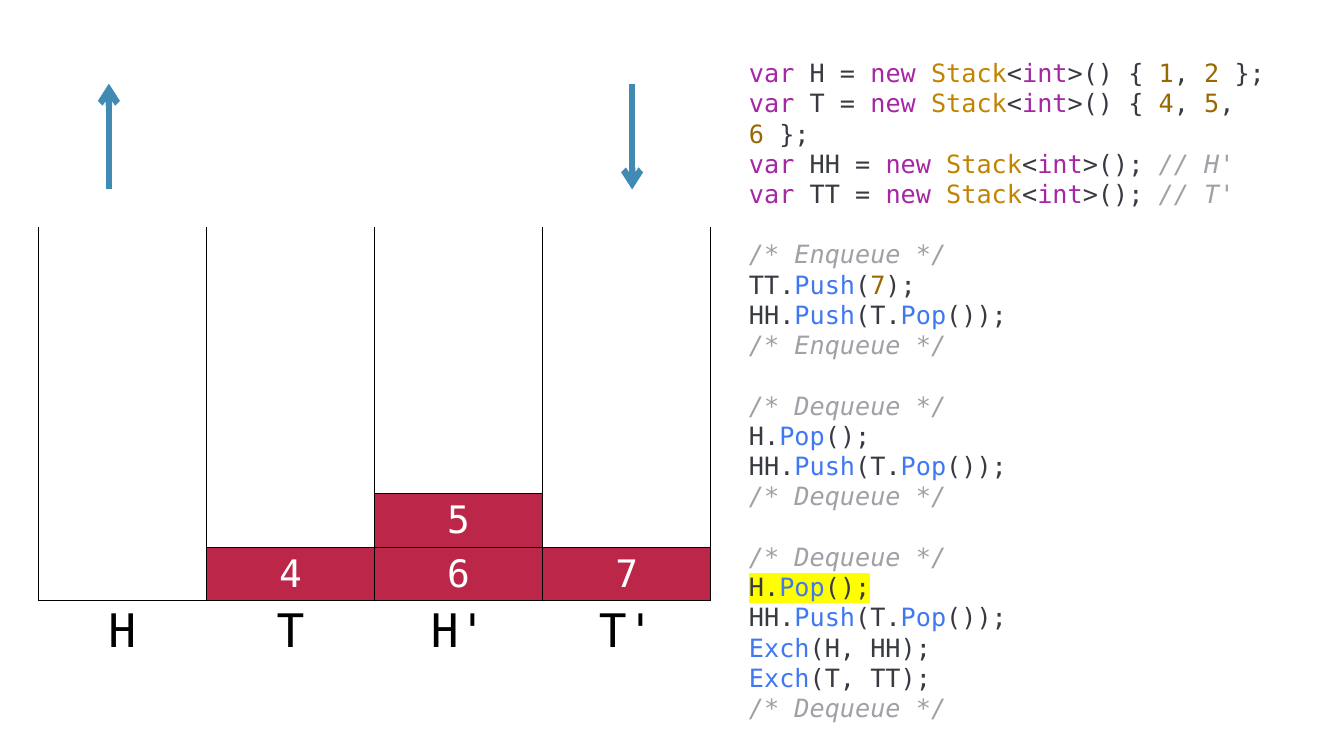
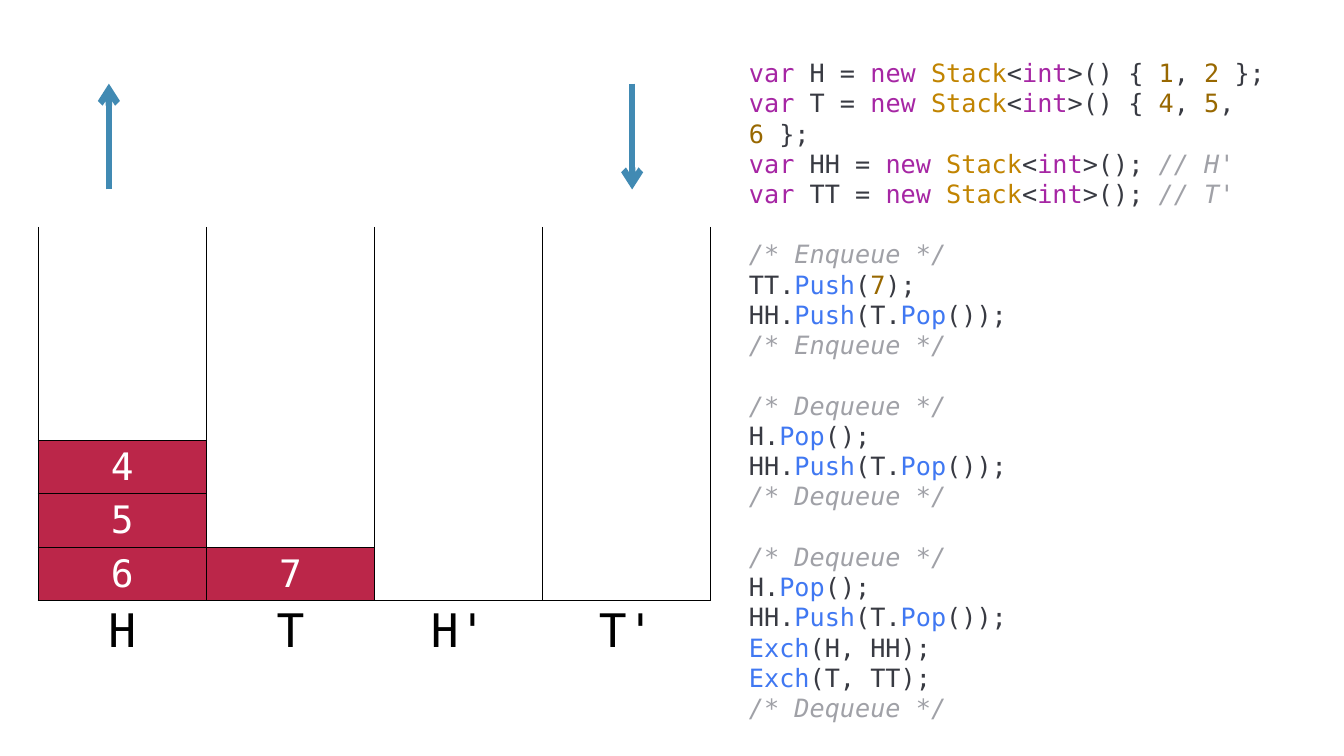
import pptx
import pptx.dml.color
import pptx.enum.shapes
import pptx.enum.text
import pptx.oxml
import pptx.oxml.ns
import pptx.util
from pptx.util import Inches

FONT = "DejaVu Sans Mono"
BLACK, WHITE, BLOCK, ARROW = "000000", "FFFFFF", "BB2649", "418AB3"
HIGHLIGHT = "FFFF00"
CODE_COLORS = {
    "keyword": "A626A4", "type": "C18401", "number": "986801",
    "function": "4078F2", "comment": "A0A1A7", "plain": "383A42",
}
WORD_KINDS = {
    "var": "keyword", "new": "keyword", "int": "keyword", "Stack": "type",
    "Push": "function", "Pop": "function", "Exch": "function",
}

# Each code line is split into its coloured runs by "|".
MOVE_ONE = "HH.|Push|(T.|Pop|());"
REMOVE_HEAD = "H.|Pop|();"
CODE_BLOCKS = [
    ["var| H = |new |Stack|<|int|>() { |1|, |2| };",
     "var| T = |new |Stack|<|int|>() { |4|, |5|, |6| };",
     "var| HH = |new |Stack|<|int|>(); |// H'",
     "var| TT = |new |Stack|<|int|>(); |// T'"],
    ["/* Enqueue */", "TT.|Push|(|7|);", MOVE_ONE, "/* Enqueue */"],
    ["/* Dequeue */", REMOVE_HEAD, MOVE_ONE, "/* Dequeue */"],
    ["/* Dequeue */", REMOVE_HEAD, MOVE_ONE,
     "Exch|(H, HH);", "Exch|(T, TT);", "/* Dequeue */"],
]
STACK_NAMES = ["H", "T", "H'", "T'"]
# Stack contents run from bottom to top; current_line is (block, line).
STEPS = [
    {"stacks": [[], ["4"], ["6", "5"], ["7"]], "current_line": (3, 1)},
    {"stacks": [["6", "5", "4"], ["7"], [], []], "current_line": None},
]

STACK_ROWS = 7
TABLE_LEFT, TABLE_TOP, TABLE_WIDTH = Inches(0.38), Inches(2.25), Inches(6.67)
ROW_HEIGHT, LABEL_HEIGHT = Inches(0.53), Inches(0.62)
ARROW_TOP, ARROW_BOTTOM = Inches(0.83), Inches(1.88)
ARROWS = [  # x, start, end
    (Inches(6.27), ARROW_TOP, ARROW_BOTTOM),
    (Inches(1.08), ARROW_BOTTOM, ARROW_TOP),
]
CODE_LINE = pptx.util.Pt(21.6)
NO_TABLE_STYLE = "{2D5ABB26-0587-4C30-8999-92F81FD0307C}"


def rgb(color):
    return pptx.dml.color.RGBColor.from_string(color)


def xml(tag, content=""):
    return pptx.oxml.parse_xml(
        f"<a:{tag} {pptx.oxml.ns.nsdecls('a')}>{content}</a:{tag.split()[0]}>")


def add_run(paragraph, text, size, color):
    run = paragraph.add_run()
    run.text = text
    run.font.name = FONT
    run.font.size = pptx.util.Pt(size)
    run.font.color.rgb = rgb(color)
    return run


def set_borders(cell, sides):
    """Draw the given sides (letters from LRTB) and leave the others open."""
    properties = cell._tc.get_or_add_tcPr()
    for position, side in enumerate("LRTB"):
        fill = "<a:noFill/>"
        if side in sides:
            fill = f'<a:solidFill><a:srgbClr val="{BLACK}"/></a:solidFill>'
        properties.insert(position, xml(f'ln{side} w="12700"', fill))


def fill_cell(cell, text, size, color, fill, sides):
    cell.margin_left = cell.margin_right = Inches(0.07)
    cell.margin_top = cell.margin_bottom = Inches(0.04)
    cell.vertical_anchor = pptx.enum.text.MSO_ANCHOR.MIDDLE
    if fill:
        cell.fill.solid()
        cell.fill.fore_color.rgb = rgb(fill)
    else:
        cell.fill.background()
    set_borders(cell, sides)
    if text:
        paragraph = cell.text_frame.paragraphs[0]
        paragraph.alignment = pptx.enum.text.PP_ALIGN.CENTER
        add_run(paragraph, text, size, color)


def add_stacks(slide, stacks):
    table = slide.shapes.add_table(
        STACK_ROWS + 1, len(stacks), TABLE_LEFT, TABLE_TOP, TABLE_WIDTH,
        ROW_HEIGHT * STACK_ROWS + LABEL_HEIGHT).table
    table.first_row = table.horz_banding = False
    table._tbl.tblPr.find(pptx.oxml.ns.qn("a:tableStyleId")).text = NO_TABLE_STYLE
    for row in table.rows:
        row.height = ROW_HEIGHT
    table.rows[STACK_ROWS].height = LABEL_HEIGHT

    for column, (name, stack) in enumerate(zip(STACK_NAMES, stacks)):
        table.columns[column].width = TABLE_WIDTH // len(stacks)
        for level in range(STACK_ROWS):
            cell = table.cell(STACK_ROWS - 1 - level, column)
            if level < len(stack):
                fill_cell(cell, stack[level], 27, WHITE, BLOCK, "LRTB")
            else:
                sides = "LRB" if level == len(stack) else "LR"
                fill_cell(cell, "", 27, WHITE, None, sides)
        fill_cell(table.cell(STACK_ROWS, column), name, 33, BLACK, None, "T")


def add_arrow(slide, x, start, end):
    arrow = slide.shapes.add_connector(
        pptx.enum.shapes.MSO_CONNECTOR.STRAIGHT, x, start, x, end)
    arrow.line.color.rgb = rgb(ARROW)
    arrow.line.width = pptx.util.Pt(4.5)
    arrow.line._get_or_add_ln().append(xml('tailEnd type="arrow"'))
    arrow._element.spPr.append(xml("effectLst"))


def code_kind(text):
    if text.startswith(("//", "/*")):
        return "comment"
    if text.isdigit():
        return "number"
    return WORD_KINDS.get(text.strip(), "plain")


def add_code(slide, current_line):
    frame = slide.shapes.add_textbox(
        Inches(7.33), Inches(0.52), Inches(5.56), Inches(6.46)).text_frame
    frame.word_wrap = True
    frame.auto_size = pptx.enum.text.MSO_AUTO_SIZE.SHAPE_TO_FIT_TEXT
    paragraph = frame.paragraphs[0]
    for block_index, block in enumerate(CODE_BLOCKS):
        for line_index, line in enumerate(block):
            position = (block_index, line_index)
            if position != (0, 0):
                paragraph = frame.add_paragraph()
            paragraph.line_spacing = CODE_LINE
            if block_index and not line_index:
                paragraph.space_before = CODE_LINE
            for text in line.split("|"):
                kind = code_kind(text)
                run = add_run(paragraph, text, 18, CODE_COLORS[kind])
                run.font.italic = kind == "comment"
                if position == current_line:
                    fill = run.font._element.find(pptx.oxml.ns.qn("a:solidFill"))
                    fill.addnext(xml("highlight", f'<a:srgbClr val="{HIGHLIGHT}"/>'))


def main():
    presentation = pptx.Presentation()
    presentation.slide_width = Inches(13.33)
    presentation.slide_height = Inches(7.5)
    blank_layout = presentation.slide_layouts[6]
    for step in STEPS:
        slide = presentation.slides.add_slide(blank_layout)
        add_stacks(slide, step["stacks"])
        for x, start, end in ARROWS:
            add_arrow(slide, x, start, end)
        add_code(slide, step["current_line"])
    presentation.save("out.pptx")


if __name__ == "__main__":
    main()
